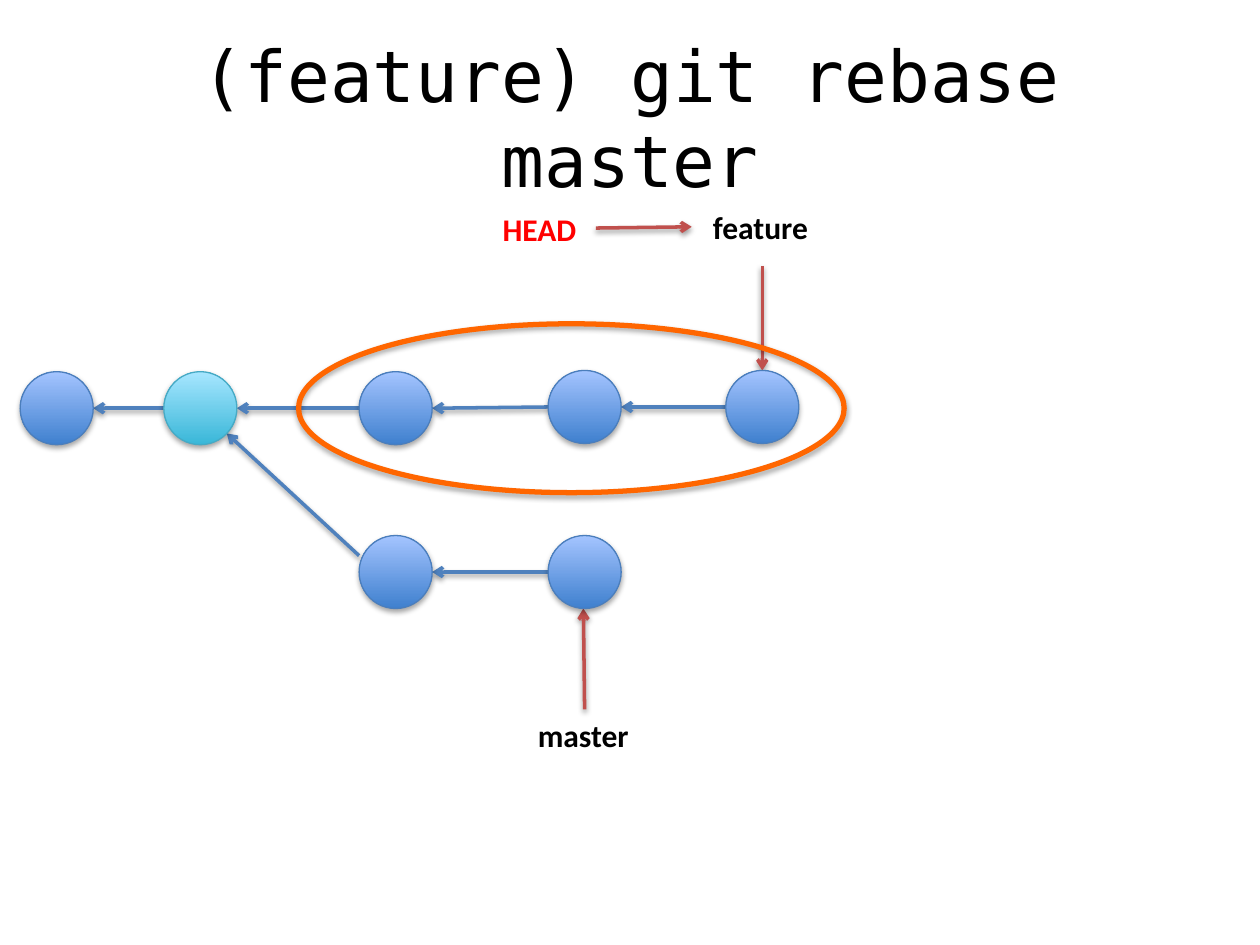
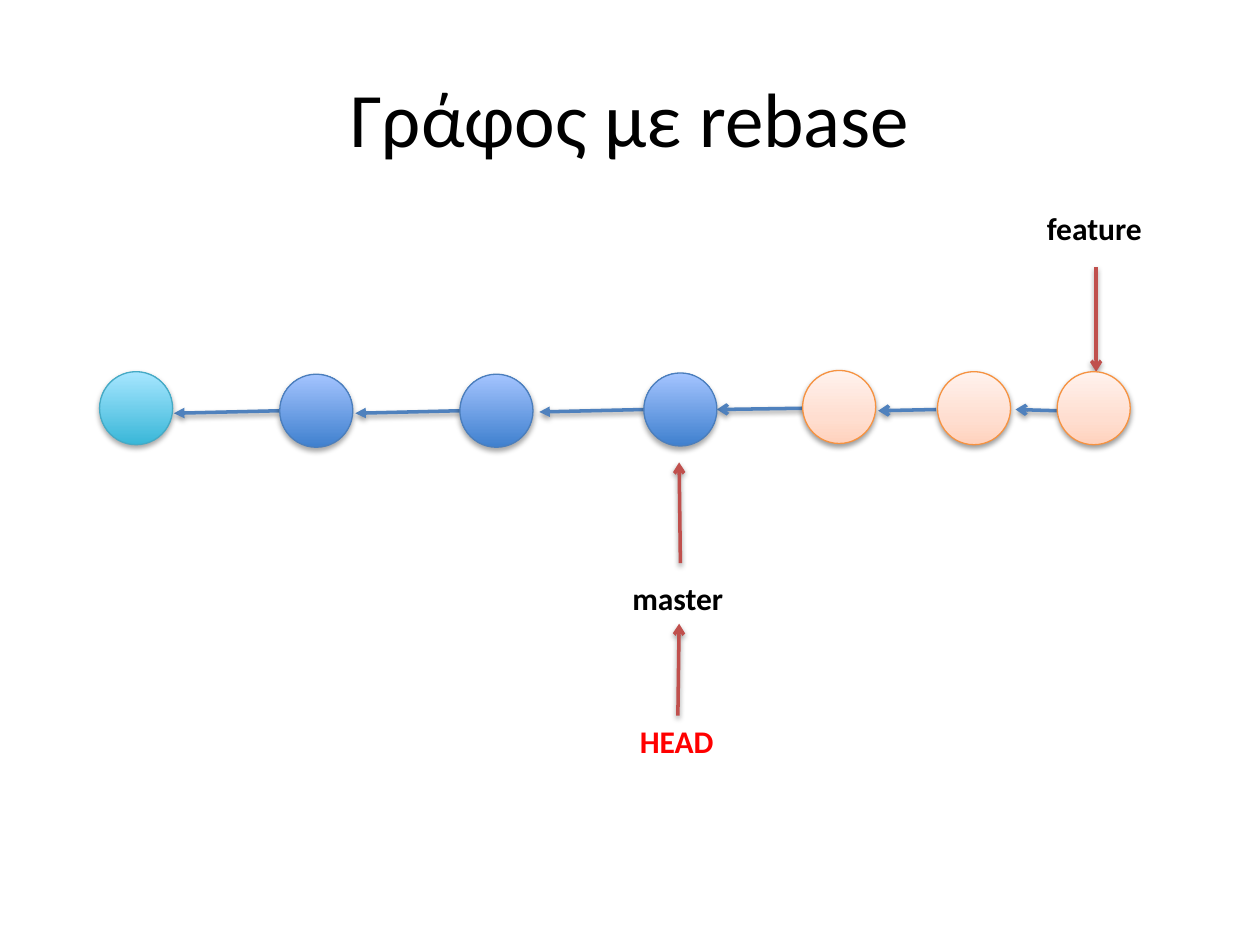
from copy import deepcopy
from dataclasses import dataclass
from typing import Optional

from lxml import etree
from pptx import Presentation
from pptx.dml.color import RGBColor
from pptx.enum.shapes import MSO_CONNECTOR, MSO_SHAPE
from pptx.enum.text import MSO_ANCHOR, MSO_AUTO_SIZE, PP_ALIGN
from pptx.oxml.ns import qn
from pptx.util import Inches, Pt

STRAIGHT = MSO_CONNECTOR.STRAIGHT
ELLIPSE = MSO_SHAPE.OVAL
MIDDLE = MSO_ANCHOR.MIDDLE
GROW = MSO_AUTO_SIZE.SHAPE_TO_FIT_TEXT
CENTER = PP_ALIGN.CENTER

BLACK = RGBColor(0x00, 0x00, 0x00)
RED = RGBColor(0xFF, 0x00, 0x00)
ORANGE = RGBColor(0xFF, 0x66, 0x00)
HISTORY_BLUE = RGBColor(0x4F, 0x81, 0xBD)
POINTER_RED = RGBColor(0xC0, 0x50, 0x4D)

BODY_FONT = "Calibri"
CODE_FONT = "DejaVu Sans Mono"
DIAMETER = 0.58
TOP, BOTTOM = 0, 2  # connection sites of a rectangle


@dataclass(frozen=True)
class Shadow:
    opacity: int
    distance: float


SHAPE_SHADOW = Shadow(35, 1.8)
LIGHT_SHADOW = Shadow(38, 1.6)


@dataclass(frozen=True)
class CommitStyle:
    stops: tuple[tuple[float, RGBColor], ...]
    outline: RGBColor
    shadow: Shadow = SHAPE_SHADOW


BLUE = CommitStyle(((0, RGBColor(0x3F, 0x80, 0xCE)), (1, RGBColor(0xA4, 0xC4, 0xFF))),
                   RGBColor(0x4B, 0x7E, 0xBC))
CYAN = CommitStyle(((0, RGBColor(0x39, 0xB7, 0xD8)), (1, RGBColor(0xA7, 0xE6, 0xFF))),
                   RGBColor(0x46, 0xAA, 0xC5))
PEACH = CommitStyle(((0, RGBColor(0xFF, 0xD2, 0xBD)), (0.35, RGBColor(0xFF, 0xDE, 0xD0)),
                     (1, RGBColor(0xFF, 0xF2, 0xED))),
                    RGBColor(0xF6, 0x92, 0x40), LIGHT_SHADOW)


@dataclass(frozen=True)
class Commit:
    left: float
    top: float
    style: CommitStyle = BLUE


@dataclass(frozen=True)
class Label:
    text: str
    left: float
    top: float
    width: float
    color: RGBColor = BLACK


@dataclass(frozen=True)
class Arrow:
    start: tuple[float, float]
    end: tuple[float, float]
    color: RGBColor = HISTORY_BLUE
    head: str = "arrow"
    start_label: Optional[str] = None
    end_label: Optional[str] = None


def add_shadow(shape, shadow: Shadow) -> None:
    """Drop a soft shadow straight down; call after fill and line are set."""
    properties = shape._element.spPr
    effects = properties.find(qn("a:effectLst"))
    if effects is None:
        effects = etree.SubElement(properties, qn("a:effectLst"))
    outer = etree.SubElement(effects, qn("a:outerShdw"), blurRad=str(Pt(3.1)),
                             dist=str(Pt(shadow.distance)), dir="5400000", rotWithShape="0")
    color = etree.SubElement(outer, qn("a:srgbClr"), val=str(BLACK))
    etree.SubElement(color, qn("a:alpha"), val=str(shadow.opacity * 1000))


def add_text(page, text: str, at: tuple[float, float, float, float], font: str,
             size: float, color: RGBColor):
    box = page.shapes.add_textbox(*map(Inches, at))
    box.text_frame.text = text
    span = box.text_frame.paragraphs[0].runs[0]
    span.font.name, span.font.size = font, Pt(size)
    span.font.color.rgb = color
    return box


def add_title(page, text: str, font: str, size: float) -> None:
    box = add_text(page, text, (0.5, 0.3, 9, 1.25), font, size, BLACK)
    box.text_frame.word_wrap = True
    box.text_frame.vertical_anchor = MIDDLE
    box.text_frame.paragraphs[0].alignment = CENTER


def add_label(page, label: Label):
    box = add_text(page, label.text, (label.left, label.top, label.width, 0.4),
                   BODY_FONT, 18, label.color)
    box.text_frame.word_wrap = False
    box.text_frame.auto_size = GROW
    box.text_frame.paragraphs[0].runs[0].font.bold = True
    return box


def add_arrow(page, arrow: Arrow, labels: dict) -> None:
    line = page.shapes.add_connector(STRAIGHT, *map(Inches, arrow.start + arrow.end))
    if arrow.start_label:
        line.begin_connect(labels[arrow.start_label], TOP)
    if arrow.end_label:
        line.end_connect(labels[arrow.end_label], BOTTOM)
    line.line.color.rgb = arrow.color
    line.line.width = Pt(2)
    etree.SubElement(line.line._get_or_add_ln(), qn("a:tailEnd"), type=arrow.head)
    add_shadow(line, LIGHT_SHADOW)


def add_ellipse(page, at: tuple[float, float, float, float], outline: RGBColor, width: float):
    shape = page.shapes.add_shape(ELLIPSE, *map(Inches, at))
    shape.shadow.inherit = False
    shape.line.color.rgb = outline
    shape.line.width = Pt(width)
    return shape


def add_commit(page, commit: Commit) -> None:
    style = commit.style
    circle = add_ellipse(page, (commit.left, commit.top, DIAMETER, DIAMETER),
                         style.outline, 0.75)
    circle.fill.gradient()
    circle.fill.gradient_angle = 90
    stop_list = circle._element.spPr.find(qn("a:gradFill")).find(qn("a:gsLst"))
    while len(stop_list) < len(style.stops):
        stop_list.append(deepcopy(stop_list[0]))
    for stop, (position, color) in zip(circle.fill.gradient_stops, style.stops):
        stop.position = position
        stop.color.rgb = color
    add_shadow(circle, style.shadow)


def parent_arrow(child: Commit, parent: Commit) -> Arrow:
    """Arrow from the left side of a commit to the right side of its parent."""
    radius = DIAMETER / 2
    return Arrow((child.left, child.top + radius),
                 (parent.left + DIAMETER, parent.top + radius))


def add_graph(page, labels: list[Label], arrows: list[Arrow], commits: list[Commit]) -> None:
    boxes = {label.text: add_label(page, label) for label in labels}
    for arrow in arrows:
        add_arrow(page, arrow, boxes)
    for commit in commits:
        add_commit(page, commit)


def build_rebase_command(page) -> None:
    add_title(page, "(feature) git rebase master", CODE_FONT, 40.7)
    feature_branch = [Commit(0.16, 2.95), Commit(1.3, 2.95, CYAN), Commit(2.85, 2.95),
                      Commit(4.35, 2.94), Commit(5.76, 2.94)]
    master_branch = [Commit(2.85, 4.25), Commit(4.35, 4.25)]
    labels = [Label("master", 4.17, 5.63, 0.94), Label("HEAD", 3.89, 1.62, 0.8, RED),
              Label("feature", 5.56, 1.6, 0.97)]
    arrows = [parent_arrow(child, parent)
              for branch in (feature_branch, master_branch)
              for parent, child in zip(branch, branch[1:])]
    arrows += [
        Arrow((2.85, 4.41), (1.8, 3.44)),
        Arrow((4.64, 5.63), (4.63, 4.83), POINTER_RED, start_label="master"),
        Arrow((4.73, 1.81), (5.49, 1.8), POINTER_RED),
        Arrow((6.05, 2.11), (6.05, 2.94), POINTER_RED),
    ]
    add_graph(page, labels, arrows, feature_branch + master_branch)
    # Ring around the commits to be moved
    ring = add_ellipse(page, (2.37, 2.57, 4.33, 1.34), ORANGE, 3)
    ring.fill.background()
    add_shadow(ring, SHAPE_SHADOW)


def build_rebased_graph(page) -> None:
    add_title(page, "Γράφος με rebase", BODY_FONT, 44)
    commits = [Commit(0.79, 2.95, CYAN), Commit(2.22, 2.97), Commit(3.65, 2.97),
               Commit(5.11, 2.96), Commit(6.37, 2.94, PEACH), Commit(7.44, 2.95, PEACH),
               Commit(8.39, 2.95, PEACH)]
    labels = [Label("master", 4.92, 4.55, 0.94), Label("HEAD", 4.98, 5.68, 0.8, RED),
              Label("feature", 8.21, 1.61, 0.97)]
    arrows = [
        Arrow((2.22, 3.26), (1.38, 3.28), head="triangle"),
        Arrow((3.65, 3.26), (2.82, 3.28), head="triangle"),
        Arrow((5.11, 3.25), (4.28, 3.27), head="triangle"),
        Arrow((6.39, 3.24), (5.69, 3.25)),
        Arrow((7.43, 3.25), (6.97, 3.26)),
        Arrow((8.39, 3.26), (8.06, 3.25)),
        Arrow((5.4, 4.47), (5.39, 3.67), POINTER_RED),
        Arrow((5.39, 5.68), (5.39, 4.95), POINTER_RED, start_label="HEAD", end_label="master"),
        Arrow((8.7, 2.12), (8.7, 2.95), POINTER_RED),
    ]
    add_graph(page, labels, arrows, commits)


def main() -> None:
    deck = Presentation()
    deck.slide_width, deck.slide_height = Inches(10), Inches(7.5)
    blank = deck.slide_layouts[6]
    for build in (build_rebase_command, build_rebased_graph):
        build(deck.slides.add_slide(blank))
    deck.save("out.pptx")


if __name__ == "__main__":
    main()
